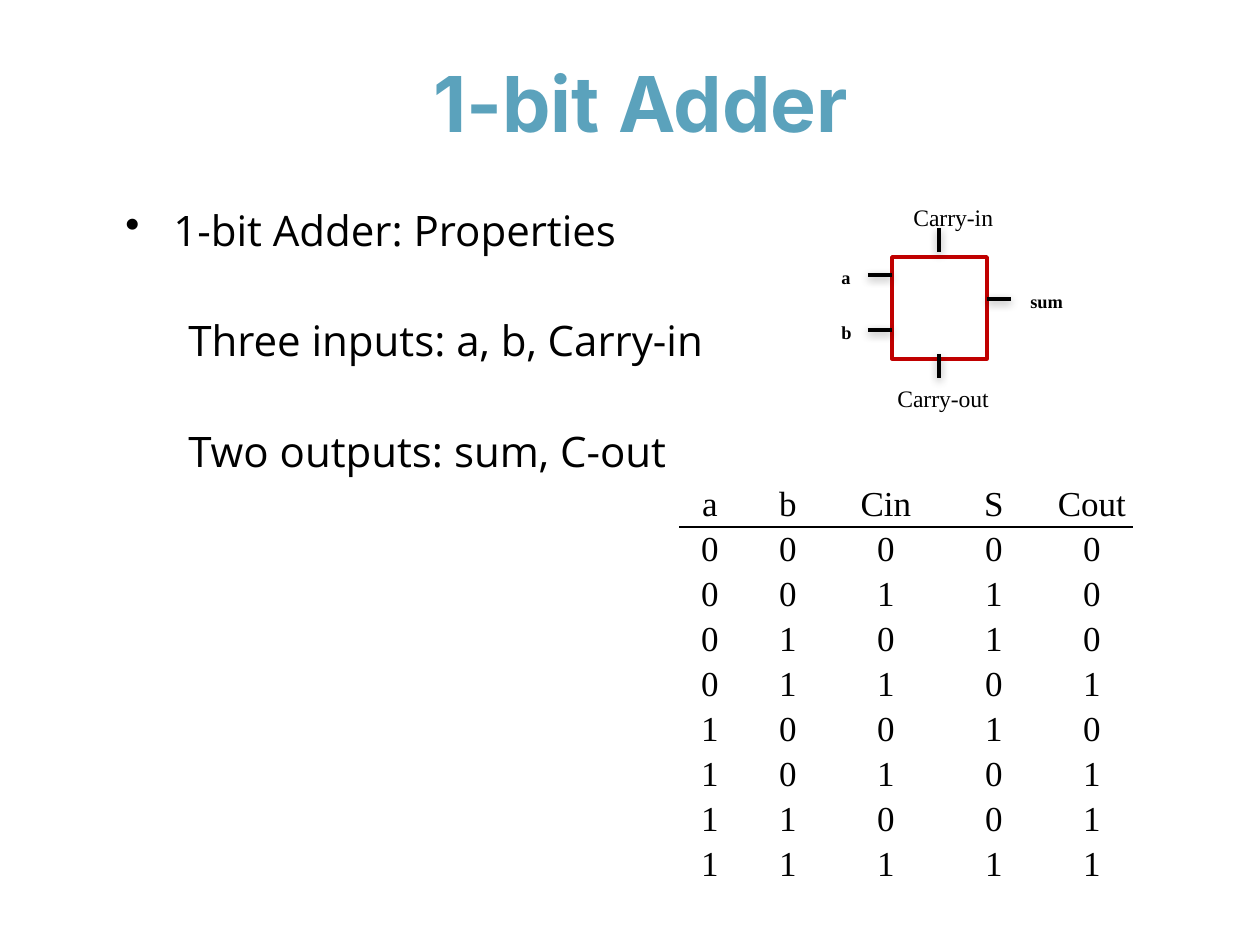
from dataclasses import dataclass
from itertools import product

from lxml import etree
from pptx import Presentation
from pptx.dml.color import RGBColor
from pptx.enum import shapes, text
from pptx.oxml import parse_xml
from pptx.oxml.ns import nsdecls, qn
from pptx.util import Emu, Pt

PX = 914400 / 126


@dataclass(frozen=True)
class Theme:
    ink: str = "000000"
    paper: str = "FFFFFF"
    title: str = "5BA2BC"
    block: str = "C00000"
    title_font: str = "Inter"
    body_font: str = "Open Sans"
    figure_font: str = "Times New Roman"
    title_size: float = 44
    body_size: float = 24
    table_size: float = 20
    port_size: float = 13.5
    pin_size: float = 10.5
    rule: float = 2


THEME = Theme()


def px(length):
    return Emu(round(length * PX))


def rgb(color):
    return RGBColor.from_string(color)


def write(paragraph, words, font, size, color=THEME.ink, bold=False,
          align=text.PP_ALIGN.LEFT, before=0, indent=0, bullet=None):
    """Fill one paragraph; a bullet hangs in the indent."""
    run = paragraph.add_run()
    run.text = words
    run.font.name, run.font.size, run.font.bold = font, Pt(size), bold
    run.font.color.rgb = rgb(color)
    paragraph.alignment = align
    paragraph.space_before = Pt(before)
    props = paragraph._p.get_or_add_pPr()
    props.set("marL", str(px(indent)))
    props.set("indent", str(-px(indent) if bullet else 0))
    if bullet:
        etree.SubElement(props, qn("a:buChar")).set("char", bullet)


def add_text_frame(slide, x, y, w, h):
    frame = slide.shapes.add_textbox(px(x), px(y), px(w), px(h)).text_frame
    frame.word_wrap = True
    return frame


def add_wire(slide, x1, y1, x2, y2):
    wire = slide.shapes.add_connector(
        shapes.MSO_CONNECTOR.STRAIGHT, px(x1), px(y1), px(x2), px(y2))
    wire.line.color.rgb = rgb(THEME.ink)
    wire.line.width = Pt(THEME.rule)
    wire._element.spPr.append(parse_xml(
        f'<a:effectLst {nsdecls("a")}>'
        f'<a:outerShdw blurRad="{Pt(5)}" dist="{Pt(1.6)}" dir="5400000" rotWithShape="0">'
        f'<a:srgbClr val="{THEME.ink}"><a:alpha val="38000"/></a:srgbClr>'
        '</a:outerShdw></a:effectLst>'))


def add_title(slide, x, y, w, h):
    title = add_text_frame(slide, x, y, w, h)
    write(title.paragraphs[0], "1-bit Adder", THEME.title_font, THEME.title_size,
          color=THEME.title, bold=True, align=text.PP_ALIGN.CENTER)


def add_properties(slide, x, y, w, h):
    body = add_text_frame(slide, x, y, w, h)
    write(body.paragraphs[0], "1-bit Adder: Properties", THEME.body_font,
          THEME.body_size, indent=48, bullet="•")
    for words in ("Three inputs: a, b, Carry-in", "Two outputs: sum, C-out"):
        write(body.add_paragraph(), words, THEME.body_font, THEME.body_size,
              before=34.4, indent=63)


def add_adder_block(slide, x, y, w, h):
    # Adder body
    block = slide.shapes.add_shape(
        shapes.MSO_SHAPE.RECTANGLE, px(x), px(y), px(w), px(h))
    block.shadow.inherit = False
    block.fill.solid()
    block.fill.fore_color.rgb = rgb(THEME.paper)
    block.line.color.rgb = rgb(THEME.block)
    block.line.width = Pt(THEME.rule)

    # Wires: a, b, carry-out, carry-in, sum
    stub, middle = 24, x + w // 2
    for pin_y in (y + 18, y + 73):
        add_wire(slide, x - stub, pin_y, x, pin_y)
    for port_y in (y + h - 5, y - 29):
        add_wire(slide, middle, port_y, middle, port_y + stub)
    add_wire(slide, x + w, y + 42, x + w + stub, y + 42)

    # Labels: offset from the block, width, height, size, bold
    labels = (
        ("a", -63, 3, 32, 35, THEME.pin_size, True),
        ("b", -63, 58, 32, 35, THEME.pin_size, True),
        ("sum", 126, 27, 63, 35, THEME.pin_size, True),
        ("Carry-in", 9, -60, 141, 42, THEME.port_size, False),
        ("Carry-out", -7, 121, 174, 42, THEME.port_size, False),
    )
    for words, dx, dy, label_w, label_h, size, bold in labels:
        label = add_text_frame(slide, x + dx, y + dy, label_w, label_h)
        write(label.paragraphs[0], words, THEME.figure_font, size, bold=bold)


def add_truth_table(slide, x, y, w, h):
    header = ("a", "b", "Cin", "S", "Cout")
    sums = [(a, b, c, (a + b + c) % 2, (a + b + c) // 2)
            for a, b, c in product((0, 1), repeat=3)]
    rows = [header, *sums]
    table = slide.shapes.add_table(
        len(rows), len(header), px(x), px(y), px(w), px(h)).table
    table.first_row = table.horz_banding = False
    shares = (60, 96, 100, 116, 80)
    for column, share in zip(table.columns, shares):
        column.width = px(w * share / sum(shares))
    for r, values in enumerate(rows):
        table.rows[r].height = px(h / len(rows))
        for c, value in enumerate(values):
            cell = table.cell(r, c)
            cell.margin_left = cell.margin_right = 0
            cell.margin_top = cell.margin_bottom = 0
            cell.vertical_anchor = text.MSO_ANCHOR.MIDDLE
            cell.fill.solid()
            cell.fill.fore_color.rgb = rgb(THEME.paper)
            write(cell.text_frame.paragraphs[0], str(value), THEME.figure_font,
                  THEME.table_size, align=text.PP_ALIGN.CENTER)
            if r == 0:  # rule under the header
                cell._tc.get_or_add_tcPr().insert(0, parse_xml(
                    f'<a:lnB {nsdecls("a")} w="{Pt(1.25)}"><a:solidFill>'
                    f'<a:srgbClr val="{THEME.ink}"/></a:solidFill></a:lnB>'))


def main():
    deck = Presentation()
    deck.slide_width, deck.slide_height = px(1260), px(945)
    slide = deck.slides.add_slide(deck.slide_layouts[6])
    add_adder_block(slide, 892, 257, 95, 102)
    add_properties(slide, 113, 198, 640, 662)
    add_title(slide, 239, 49, 804, 67)
    add_truth_table(slide, 680, 482, 452, 405)
    deck.save("out.pptx")


if __name__ == "__main__":
    main()
